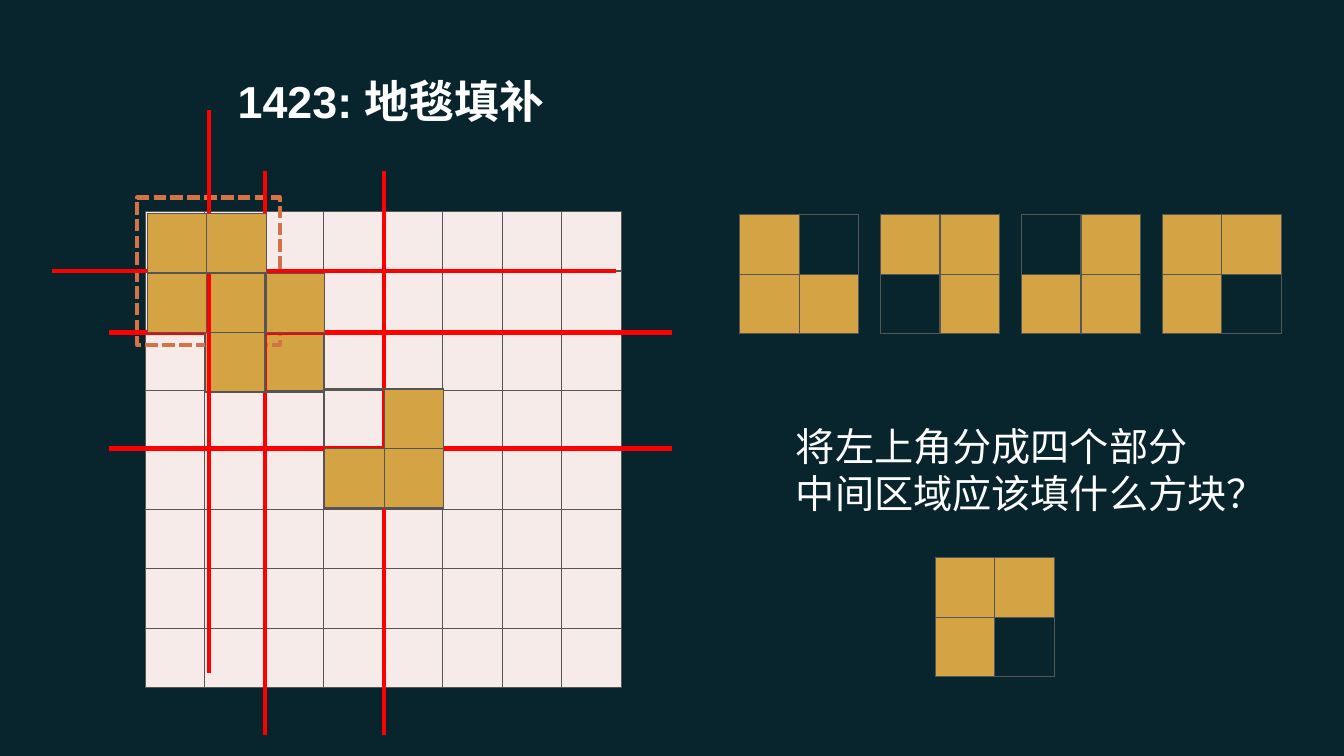
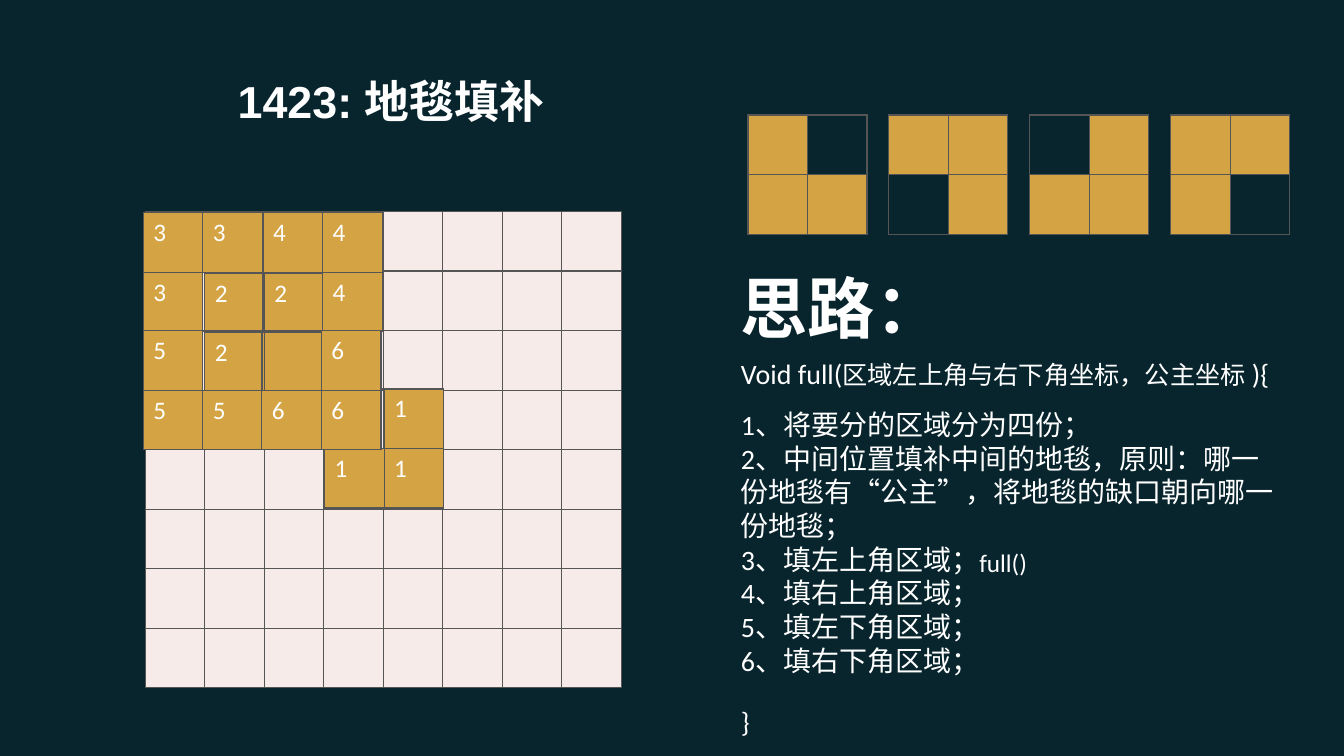
from dataclasses import dataclass

from lxml import etree
from pptx import Presentation
from pptx.dml.color import RGBColor
from pptx.enum.dml import MSO_LINE
from pptx.enum.shapes import MSO_CONNECTOR, MSO_SHAPE
from pptx.enum.text import MSO_ANCHOR
from pptx.oxml.ns import qn
from pptx.util import Cm, Pt

STRAIGHT = MSO_CONNECTOR.STRAIGHT
RECTANGLE = MSO_SHAPE.RECTANGLE
DASHED = MSO_LINE.SQUARE_DOT
MIDDLE = MSO_ANCHOR.MIDDLE
TOP = MSO_ANCHOR.TOP

CELL = 1.5
GRID_SIZE = 8
PRINCESS = (2, 2)
HOLES = [(0, 1), (1, 0), (0, 0), (1, 1)]
SAMPLE_STEP = 3.55
CUT_LENGTH = 14.2


@dataclass(frozen=True)
class Theme:
    background: str = "08252D"
    text: str = "FFFFFF"
    floor: str = "F7EBE9"
    carpet: str = "D4A444"
    border: str = "555555"
    cut: str = "FF0000"
    frame: str = "D47348"
    title_font: str = "Arial"
    body_font: str = "Calibri"
    heading_font: str = "Noto Sans CJK SC"
    title_size: int = 32
    heading_size: int = 48
    question_size: int = 28
    body_size: int = 20
    label_size: int = 18
    border_width: int = 1
    line_width: int = 3


THEME = Theme()


def set_values(target, values):
    for name, value in values.items():
        setattr(target, name, value)


def style_font(font, size, name=THEME.body_font, bold=False):
    set_values(font, {"size": Pt(size), "name": name, "bold": bold})
    font.color.rgb = RGBColor.from_string(THEME.text)


def style_line(line, color):
    line.color.rgb = RGBColor.from_string(color)
    line.width = Pt(THEME.line_width)


class Deck:
    def __init__(self):
        self.presentation = Presentation()
        set_values(self.presentation, {"slide_width": Cm(33.87), "slide_height": Cm(19.05)})
        fill = self.presentation.slide_master.background.fill
        fill.solid()
        fill.fore_color.rgb = RGBColor.from_string(THEME.background)
        self.shapes = None

    def start_slide(self, title):
        slide = self.presentation.slides.add_slide(self.presentation.slide_layouts[6])
        self.shapes = slide.shapes
        self.text(5.74, 1.52, 20.19, 2.01, [[(title, THEME.title_size)]],
                  name=THEME.title_font, bold=True, anchor=MIDDLE)
        self.table(3.66, 5.33, GRID_SIZE,
                   lambda place: THEME.carpet if place == PRINCESS else THEME.floor)

    def text(self, left, top, width, height, paragraphs,
             name=THEME.body_font, bold=False, anchor=TOP):
        frame = self.shapes.add_textbox(Cm(left), Cm(top), Cm(width), Cm(height)).text_frame
        set_values(frame, {"word_wrap": True, "vertical_anchor": anchor})
        for index, runs in enumerate(paragraphs):
            paragraph = frame.add_paragraph() if index else frame.paragraphs[0]
            for content, size in runs:
                run = paragraph.add_run()
                run.text = content
                style_font(run.font, size, name, bold)

    def table(self, left, top, count, color_at, label=""):
        side = Cm(CELL * count)
        table = self.shapes.add_table(count, count, Cm(left), Cm(top), side, side).table
        set_values(table, {"first_row": False, "horz_banding": False})
        for row in range(count):
            for column in range(count):
                cell = table.cell(row, column)
                self.borders(cell)
                color = color_at((row, column))
                if color is None:
                    cell.fill.background()
                    continue
                cell.fill.solid()
                cell.fill.fore_color.rgb = RGBColor.from_string(color)
                if label:
                    run = cell.text_frame.paragraphs[0].add_run()
                    run.text = label
                    style_font(run.font, THEME.label_size)

    def borders(self, cell):
        properties = cell._tc.get_or_add_tcPr()
        for side in ("a:lnL", "a:lnR", "a:lnT", "a:lnB"):
            line = etree.SubElement(properties, qn(side), w=str(Pt(THEME.border_width)))
            fill = etree.SubElement(line, qn("a:solidFill"))
            etree.SubElement(fill, qn("a:srgbClr"), val=THEME.border)

    def tile(self, left, top, hole, label=""):
        self.table(left, top, 2,
                   lambda place: None if place == hole else THEME.carpet, label)

    def samples(self, left, top):
        for index, hole in enumerate(HOLES):
            self.tile(left + index * SAMPLE_STEP, top, hole)

    def line(self, left, top, width, height):
        connector = self.shapes.add_connector(
            STRAIGHT, Cm(left), Cm(top), Cm(left + width), Cm(top + height))
        style_line(connector.line, THEME.cut)
        etree.SubElement(connector._element.spPr, qn("a:effectLst"))

    def cut(self, across, down):
        self.line(*across, CUT_LENGTH, 0)
        self.line(*down, 0, CUT_LENGTH)

    def dashed_frame(self, left, top, width, height):
        shape = self.shapes.add_shape(RECTANGLE, Cm(left), Cm(top), Cm(width), Cm(height))
        shape.shadow.inherit = False
        shape.fill.background()
        style_line(shape.line, THEME.frame)
        shape.line.dash_style = DASHED


def question_slide(deck):
    deck.start_slide("1423: 地毯填补")
    deck.samples(18.64, 5.41)
    deck.text(19.81, 10.52, 12.22, 2.64, [
        [(line, THEME.question_size)]
        for line in ("将左上角分成四个部分", "中间区域应该填什么方块？")])
    deck.dashed_frame(3.45, 4.98, 3.61, 3.71)
    deck.tile(23.57, 14.05, (1, 1))
    for across, down, corner, hole in [
        ((2.74, 11.3), (9.68, 4.32), (8.18, 9.8), (0, 0)),
        ((2.74, 8.38), (6.68, 4.32), (5.18, 6.88), (1, 1)),
        ((1.32, 6.83), (5.26, 2.77), (3.71, 5.38), (1, 1)),
    ]:
        deck.cut(across, down)
        deck.tile(*corner, hole)


def solution_slide(deck):
    deck.start_slide("1423: 地毯填补")
    deck.samples(18.85, 2.9)
    for number, (left, top, hole) in enumerate([
        (8.18, 9.8, (0, 0)),
        (5.16, 6.88, (1, 1)),
        (3.61, 5.36, (1, 1)),
        (6.63, 5.36, (1, 0)),
        (3.61, 8.33, (0, 1)),
        (6.6, 8.33, (0, 0)),
    ], start=1):
        deck.tile(left, top, hole, str(number))

    body, label = THEME.body_size, THEME.label_size
    deck.text(18.42, 6.58, 14.07, 2.3, [[("思路：", THEME.heading_size)]],
              name=THEME.heading_font, bold=True)
    deck.text(18.42, 8.86, 16, 1.12, [[
        ("Void full(", body), ("区域左上角与右下角坐标，公主坐标", label), (" ){", body)]])
    steps = [
        "将要分的区域分为四份；",
        "中间位置填补中间的地毯，原则：哪一份地毯有“公主”，将地毯的缺口朝向哪一份地毯；",
        "填左上角区域；",
        "填右上角区域；",
        "填左下角区域；",
        "填右下角区域；",
    ]
    deck.text(18.42, 10.15, 14.07, 7.1, [
        [(f"{number}、{step}", body)] for number, step in enumerate(steps, start=1)])
    deck.text(24.43, 13.67, 5.77, 1.02, [[("full()", label)]])
    deck.text(18.42, 17.63, 7.52, 1.12, [[("}", body)]])


def main():
    deck = Deck()
    question_slide(deck)
    solution_slide(deck)
    deck.presentation.save("out.pptx")


if __name__ == "__main__":
    main()
